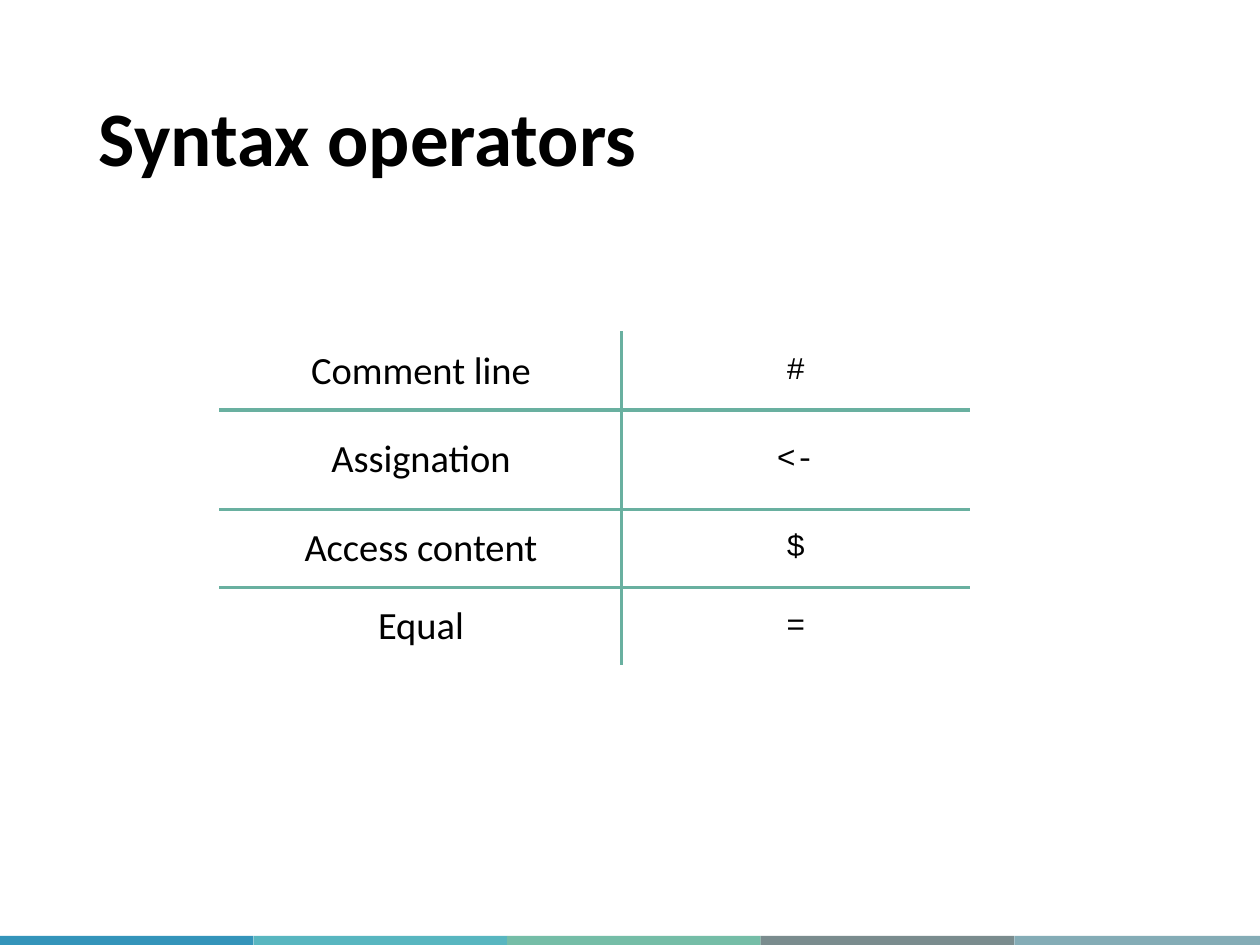
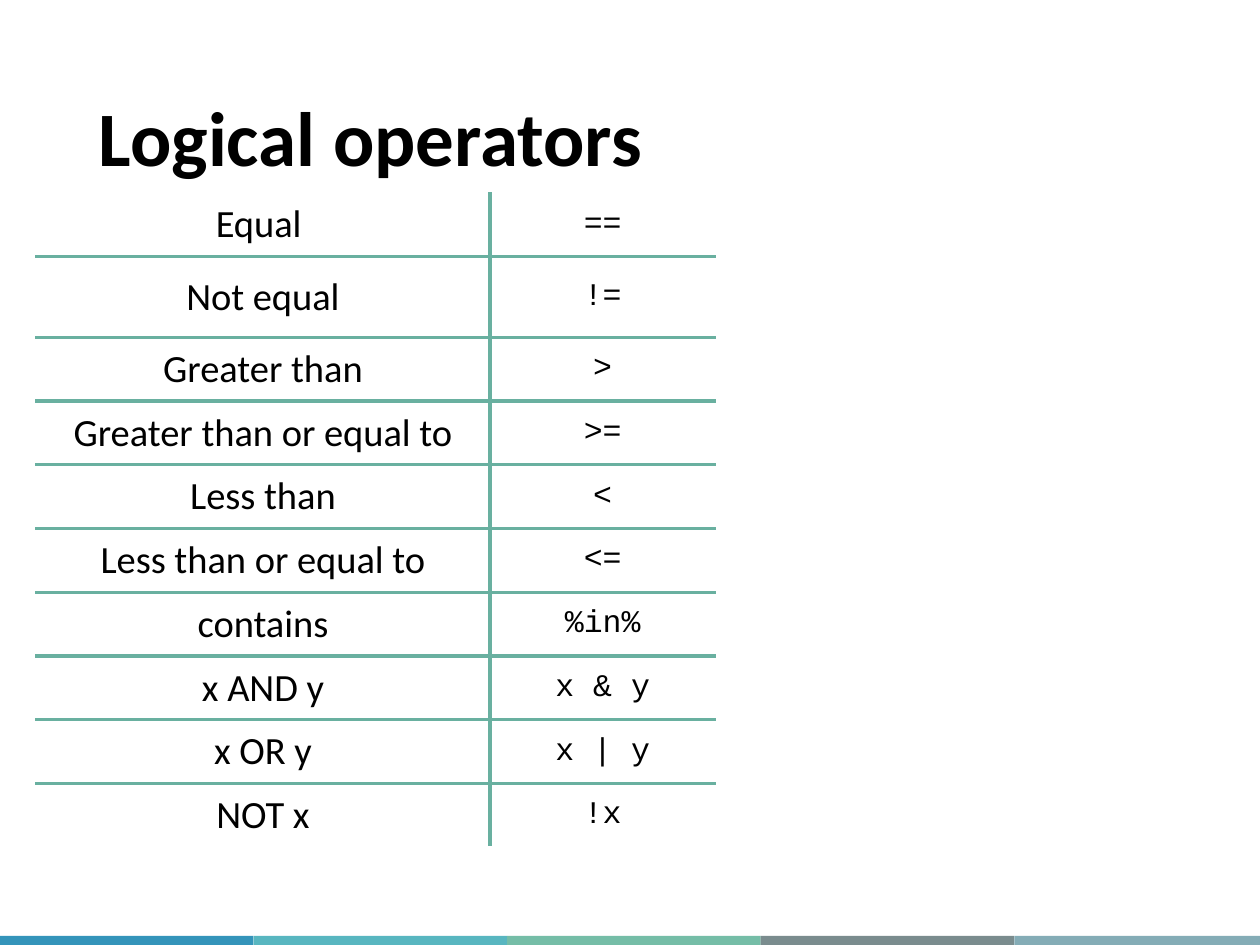
from pptx import Presentation
from pptx.dml.color import RGBColor
from pptx.enum.shapes import MSO_SHAPE
from pptx.enum.text import MSO_ANCHOR, PP_ALIGN
from pptx.oxml.ns import qn
from pptx.util import Pt
from lxml.etree import SubElement

HUES = {"ink": "000000", "page": "FFFFFF", "rule": "69B0A0",
        "blue": "3494BA", "aqua": "58B6C0", "mint": "75BDA7",
        "gray": "7A8C8E", "steel": "84ACB6"}
BANDS = ["blue", "aqua", "mint", "gray", "steel"]
BODY, CODE = "Calibri", "Courier New"

SYNTAX = [("Comment line", "#"), ("Assignation", "<-"),
          ("Access content", "$"), ("Equal", "=")]
LOGIC = [("Equal ", "=="), ("Not equal", "!="), ("Greater than", ">"),
         ("Greater than or equal to", ">="), ("Less than", "<"),
         ("Less than or equal to", "<="), ("contains", "%in%"),
         ("x AND y", "x & y"), ("x OR y", "x | y"), ("NOT x", "!x")]


def paint(fill, hue):
    fill.solid()
    fill.fore_color.rgb = RGBColor.from_string(HUES[hue])


def write(frame, text, font=BODY, size=22, bold=False, align=PP_ALIGN.LEFT, space=1.0):
    frame.word_wrap = True
    par = frame.paragraphs[0]
    par.alignment, par.line_spacing = align, space
    run = par.add_run()
    run.text = text
    run.font.name, run.font.size, run.font.bold = font, Pt(size), bold
    run.font.color.rgb = RGBColor.from_string(HUES["ink"])


def add_bands(slide, left, top, width, height):
    # Footer strip of equal colour bands
    step = width / len(BANDS)
    for i, hue in enumerate(BANDS):
        band = slide.shapes.add_shape(MSO_SHAPE.RECTANGLE, Pt(left + i * step),
                                      Pt(top), Pt(step), Pt(height))
        band.shadow.inherit = False
        paint(band.fill, hue)
        band.line.fill.background()


def add_title(slide, text, left, top, width, height):
    box = slide.shapes.add_textbox(Pt(left), Pt(top), Pt(width), Pt(height))
    box.text_frame.vertical_anchor = MSO_ANCHOR.MIDDLE
    write(box.text_frame, text, size=44, bold=True, space=0.9)


def rule(cell, sides):
    # Cell borders go in the order L, R, T, B, before the fill
    props = cell._tc.get_or_add_tcPr()
    for side in sides:
        line = SubElement(props, qn(f"a:ln{side}"), w=str(Pt(2.25)))
        fill = SubElement(line, qn("a:solidFill"))
        SubElement(fill, qn("a:srgbClr"), val=HUES["rule"])


def add_grid(slide, pairs, left, top, cols, low, tall):
    # Two columns with inner rules only; the second row is taller
    rows = [tall if r == 1 else low for r in range(len(pairs))]
    table = slide.shapes.add_table(len(rows), 2, Pt(left), Pt(top),
                                   Pt(sum(cols)), Pt(sum(rows))).table
    table.first_row = table.horz_banding = False
    for col, width in zip(table.columns, cols):
        col.width = Pt(width)
    for r, pair in enumerate(pairs):
        table.rows[r].height = Pt(rows[r])
        for c, (text, font, size) in enumerate(zip(pair, (BODY, CODE), (22, 18))):
            cell = table.cell(r, c)
            sides = "RL"[c] + ("T" if r else "") + ("B" if r < len(rows) - 1 else "")
            rule(cell, sides)
            paint(cell.fill, "page")
            cell.vertical_anchor = MSO_ANCHOR.MIDDLE
            write(cell.text_frame, text, font=font, size=size, align=PP_ALIGN.CENTER)


def add_page(deck, title, pairs, **grid):
    slide = deck.slides.add_slide(deck.slide_layouts[6])
    paint(slide.background.fill, "page")
    add_bands(slide, 0, 534.8, 724.5, 7.2)
    add_title(slide, title, 49.5, 28.75, 621, 104.4)
    add_grid(slide, pairs, **grid)


def main():
    deck = Presentation()
    deck.slide_width, deck.slide_height = Pt(720), Pt(540)
    add_page(deck, "Syntax operators", SYNTAX, left=125.8, top=189.6,
             cols=(229.5, 198.8), low=44.8, tall=56.6)
    add_page(deck, "Logical operators", LOGIC, left=20.7, top=110.2,
             cols=(259.2, 129), low=36.45, tall=46.1)
    deck.save("out.pptx")


if __name__ == "__main__":
    main()
